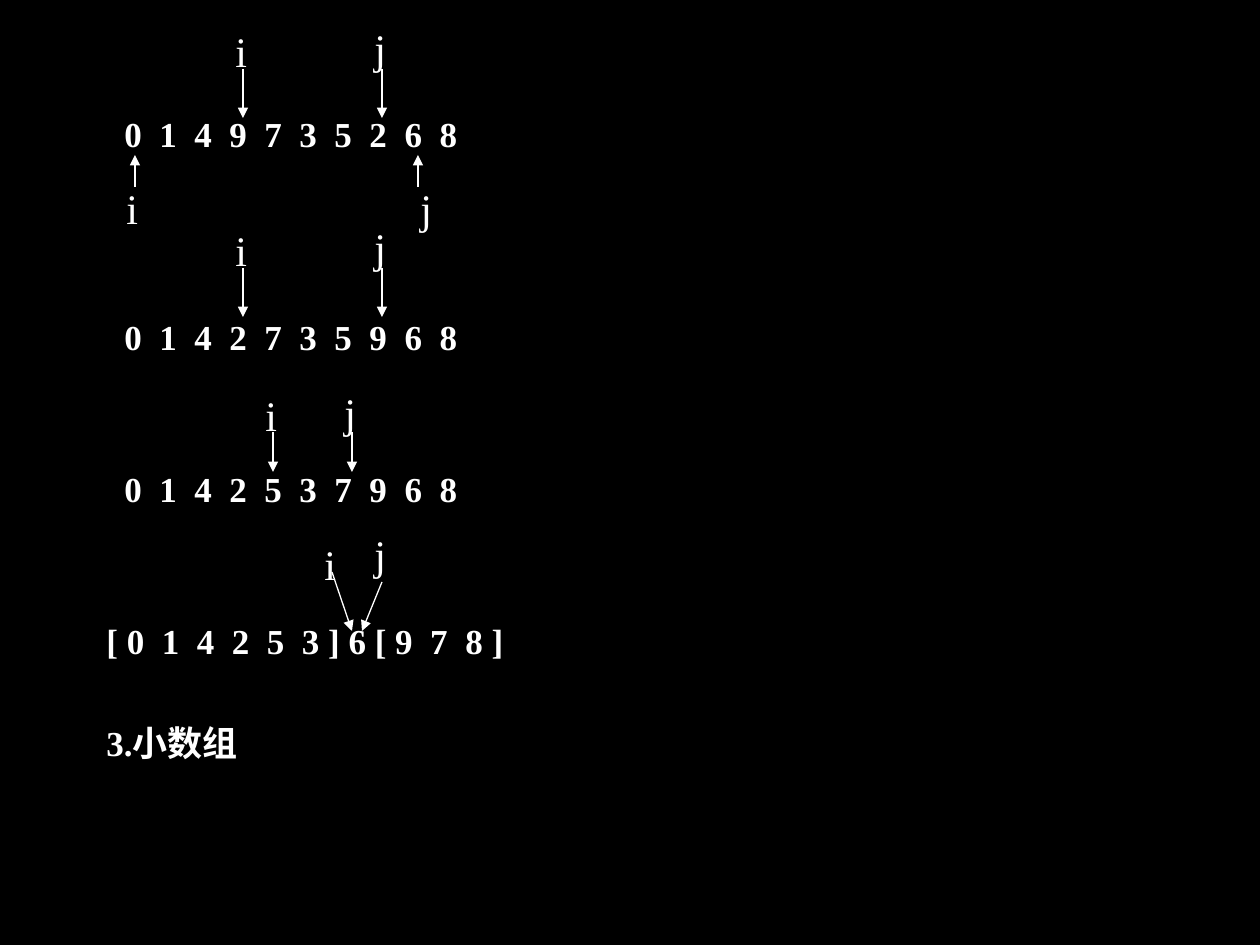
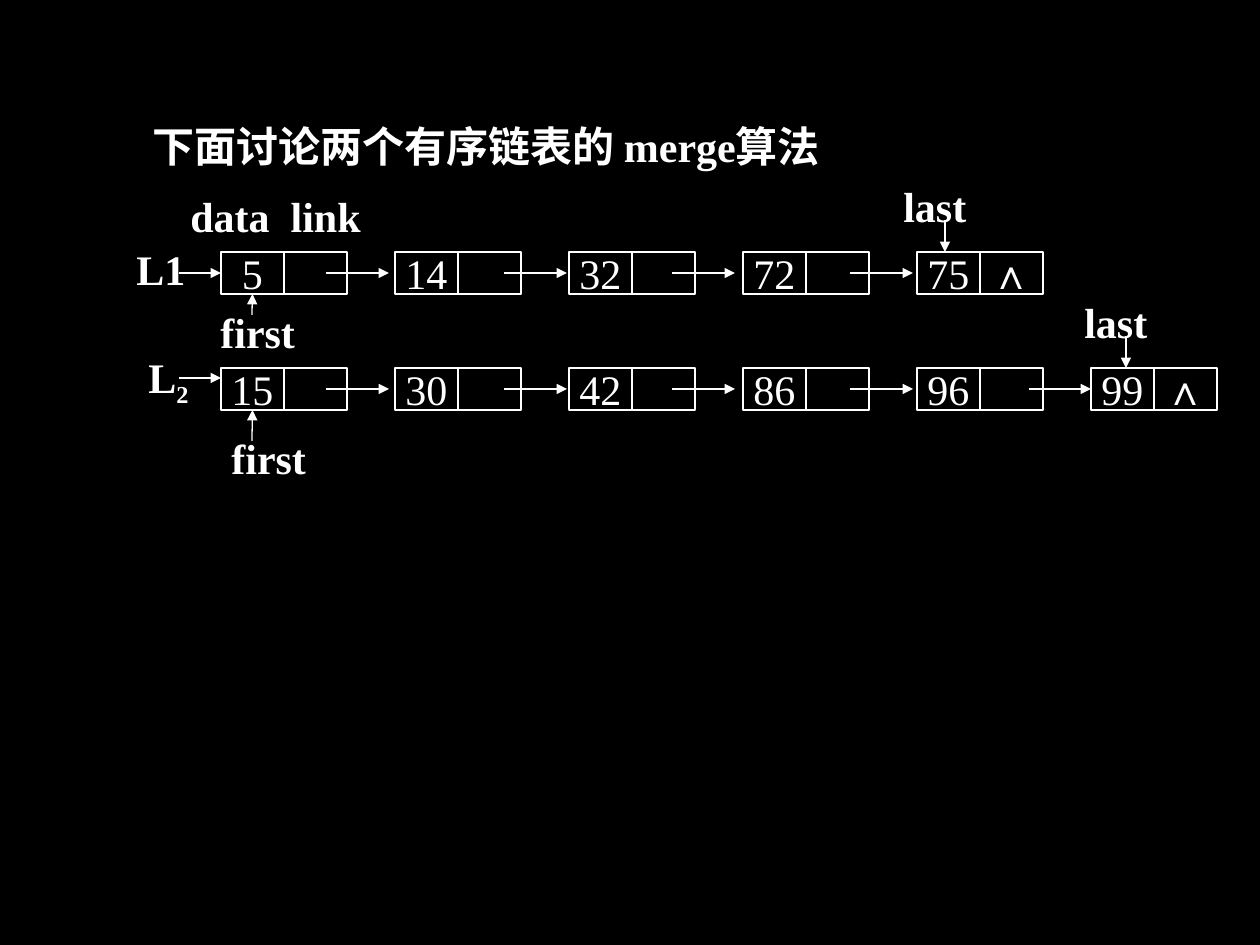
from lxml import etree
from pptx import Presentation
from pptx.dml.color import RGBColor
from pptx.enum.shapes import MSO_CONNECTOR, MSO_SHAPE
from pptx.enum.text import MSO_ANCHOR, PP_ALIGN
from pptx.oxml.ns import qn
from pptx.util import Pt

PX = 914400 // 126
BLACK = RGBColor(0x00, 0x00, 0x00)
WHITE = RGBColor(0xFF, 0xFF, 0xFF)
SERIF, SANS = "Times New Roman", "Arial"
RECT, STRAIGHT = MSO_SHAPE.RECTANGLE, MSO_CONNECTOR.STRAIGHT
LEFT, CENTER = PP_ALIGN.LEFT, PP_ALIGN.CENTER
TOP, MIDDLE = MSO_ANCHOR.TOP, MSO_ANCHOR.MIDDLE
SIDE_LEFT, SIDE_BOTTOM = 1, 2
LEADING = 1.2

NODE_W, NODE_H, NODE_STEP = 63, 42, 174
LINK_STARTS = [105, 283, 451, 629, 808]  # from the left of the list
LINK_LEN = 63


def px(*lengths):
    return [n * PX for n in lengths]


def add_run(p, text, size, font, bold):
    r = p.add_run()
    r.text = text
    r.font.size = Pt(size)
    r.font.name = font
    r.font.bold = bold
    r.font.color.rgb = WHITE
    return r


def write(p, text, size=24, font=SERIF, bold=False, align=LEFT,
          before=0, indent=0, sub=""):
    """Fill one paragraph; sub is a trailing subscript."""
    p.alignment = align
    p.space_before = Pt(before)
    p.line_spacing = Pt(size * LEADING)
    p._p.get_or_add_pPr().set("marL", str(indent * PX))
    add_run(p, text, size, font, bold)
    if sub:
        r = add_run(p, sub, size, font, bold)
        r._r.get_or_add_rPr().set("baseline", "-25000")


def add_label(s, x, y, text, w=60, h=63, **fmt):
    tf = s.shapes.add_textbox(*px(x, y, w, h)).text_frame
    tf.word_wrap = True
    tf.vertical_anchor = TOP
    write(tf.paragraphs[0], text, **fmt)


def add_arrow(s, x1, y1, x2, y2, target=None, side=None):
    c = s.shapes.add_connector(STRAIGHT, *px(x1, y1, x2, y2))
    c.line.color.rgb = WHITE
    c.line.width = Pt(0.75)
    etree.SubElement(c.line._get_or_add_ln(), qn("a:tailEnd"), type="triangle")
    etree.SubElement(c._element.spPr, qn("a:effectLst"))
    if target is not None:
        c.end_connect(target, side)


def add_cell(s, x, y, text="", font=SERIF):
    sp = s.shapes.add_shape(RECT, *px(x, y, NODE_W, NODE_H))
    sp.shadow.inherit = False
    sp.fill.background()
    sp.line.color.rgb = WHITE
    sp.line.width = Pt(0.75)
    if text:
        tf = sp.text_frame
        tf.margin_left = tf.margin_right = 0
        tf.vertical_anchor = MIDDLE
        write(tf.paragraphs[0], text, font=font, align=CENTER)
    return sp


def new_slide(prs):
    s = prs.slides.add_slide(prs.slide_layouts[6])
    s.background.fill.solid()
    s.background.fill.fore_color.rgb = BLACK
    return s


def add_pointer(s, name, label, start, end):
    """Index name at label, with its arrow from start to end."""
    add_label(s, *label, name)
    add_arrow(s, *start, *end)


def partition_slide(prs):
    s = new_slide(prs)

    # Array after each exchange
    rows = [
        ("0149735268", 0),
        ("0142735968", 92),
        ("0142537968", 63),
    ]
    tf = s.shapes.add_textbox(*px(94, 106, 1071, 733)).text_frame
    tf.word_wrap = True
    for i, (digits, before) in enumerate(rows):
        p = tf.paragraphs[0] if i == 0 else tf.add_paragraph()
        write(p, "  ".join(digits), size=20, bold=True, before=before, indent=18)
    for text, before in [("[ 0  1  4  2  5  3 ] 6 [ 9  7  8 ]", 63), ("3.小数组", 34)]:
        write(tf.add_paragraph(), text, size=20, bold=True, before=before)

    # Scanning pointers above the first two rows
    for y in (19, 218):
        add_pointer(s, "i", (223, y), (243, y + 50), (243, y + 99))
        add_pointer(s, "j", (362, y - 3), (382, y + 50), (382, y + 99))

    # Starting pointers, then the third and fourth rows
    pointers = [
        ("i", (114, 176), (135, 187), (135, 155)),
        ("j", (408, 176), (418, 187), (418, 155)),
        ("i", (253, 383), (273, 432), (273, 472)),
        ("j", (332, 380), (352, 432), (352, 472)),
        ("i", (312, 532), (332, 572), (352, 631)),
        ("j", (362, 522), (382, 582), (362, 631)),
    ]
    for pointer in pointers:
        add_pointer(s, *pointer)


def add_linked_list(s, x, y, values, head, head_at, sub, head_arrow_dy,
                    first_at, first_arrow_len, last_dx, last_arrow_dx):
    """Linked list whose first node has its top left corner at x, y."""
    mid = y + NODE_H // 2
    last = len(values) - 1

    # Nodes: data cell and link cell
    cells = []
    for i, value in enumerate(values):
        node_x = x + i * NODE_STEP
        cells.append(add_cell(s, node_x, y, value))
        add_cell(s, node_x + NODE_W, y, "∧" if i == last else "", font=SANS)

    # Links; the sixth node is reached exactly at its side
    for i, dx in enumerate(LINK_STARTS[:last]):
        target = cells[i + 1] if i == 4 else None
        add_arrow(s, x + dx, mid, x + dx + LINK_LEN, mid, target, SIDE_LEFT)

    # Head
    add_label(s, x + head_at[0], y + head_at[1], head, w=90, bold=True, sub=sub)
    head_y = y + head_arrow_dy
    target = cells[0] if head_y == mid else None
    add_arrow(s, x - 42, head_y, x, head_y, target, SIDE_LEFT)

    # First and last pointers
    add_label(s, x + first_at[0], y + first_at[1], "first", w=110, bold=True)
    bottom = y + NODE_H
    add_arrow(s, x + NODE_W // 2, bottom + first_arrow_len,
              x + NODE_W // 2, bottom, cells[0], SIDE_BOTTOM)
    last_x = x + last * NODE_STEP
    add_label(s, last_x + last_dx, y - 78, "last", w=100, bold=True)
    add_arrow(s, last_x + last_arrow_dx, y - 32, last_x + last_arrow_dx, y)


def merge_slide(prs):
    s = new_slide(prs)
    add_label(s, 140, 114, "下面讨论两个有序链表的 merge算法", w=760, bold=True)
    add_label(s, 178, 184, "data  link", w=215, bold=True)
    add_linked_list(s, 221, 252, ["5", "14", "32", "72", "75"],
                    head="L1", head_at=(-97, -15), sub="", head_arrow_dy=21,
                    first_at=(-13, 48), first_arrow_len=21,
                    last_dx=-26, last_arrow_dx=28)
    add_linked_list(s, 221, 368, ["15", "30", "42", "86", "96", "99"],
                    head="L", head_at=(-85, -16), sub="2", head_arrow_dy=10,
                    first_at=(-2, 58), first_arrow_len=31,
                    last_dx=-19, last_arrow_dx=35)


def main():
    prs = Presentation()
    prs.slide_width, prs.slide_height = px(1260, 945)
    partition_slide(prs)
    merge_slide(prs)
    prs.save("out.pptx")


if __name__ == "__main__":
    main()
